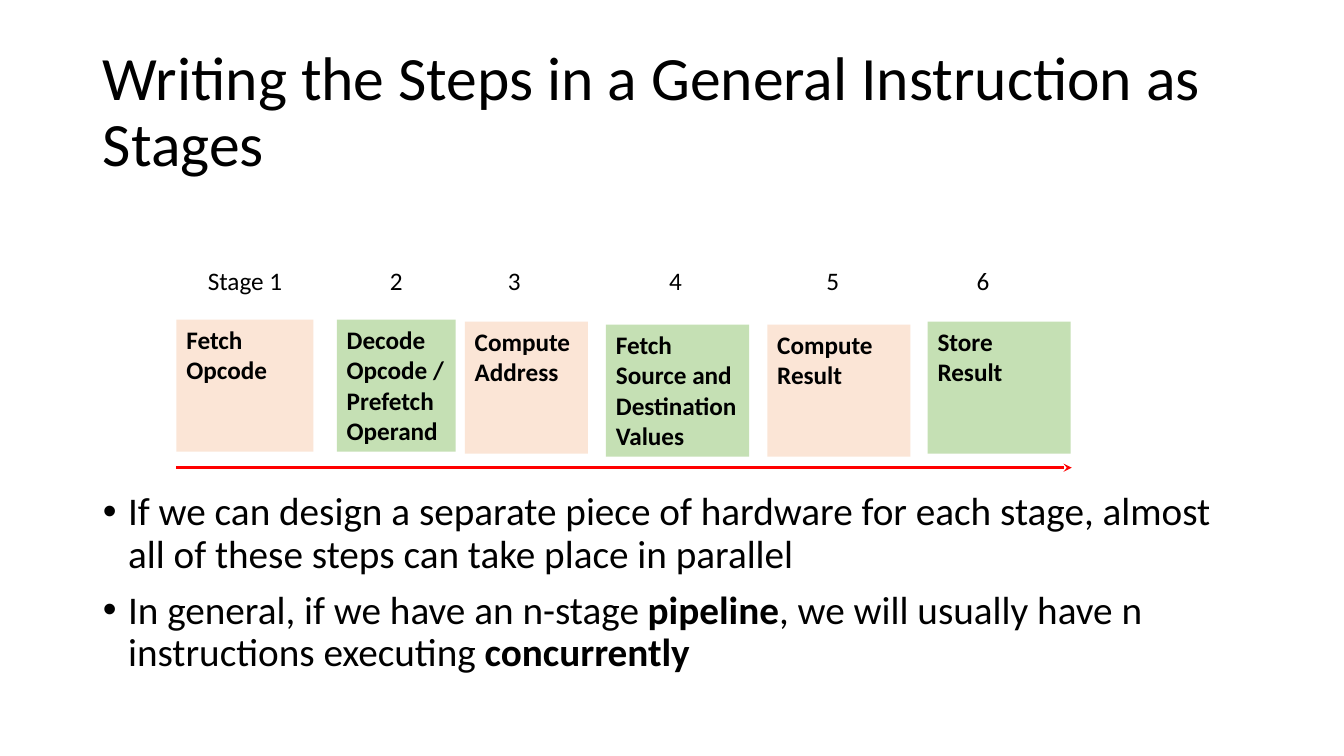
"""Build a slide showing the stages of a general instruction as a pipeline."""
from dataclasses import dataclass

from lxml.etree import SubElement
from pptx import Presentation
from pptx.dml.color import RGBColor
from pptx.enum.shapes import MSO_CONNECTOR, MSO_SHAPE
from pptx.enum.text import MSO_ANCHOR, MSO_AUTO_SIZE, PP_ALIGN
from pptx.oxml.ns import qn
from pptx.util import Inches, Pt

TITLE = "Writing the Steps in a General Instruction as Stages"
# label, label left, step, box left, box top, box width
STAGES = [
    ("Stage 1", 1.84, "Fetch Opcode", 1.75, 3.17, 1.36),
    ("2", 3.34, "Decode Opcode / Prefetch Operand", 3.34, 3.17, 1.18),
    ("3", 4.51, "Compute Address", 4.61, 3.19, 1.22),
    ("4", 6.11, "Fetch Source and Destination Values", 6.01, 3.22, 1.42),
    ("5", 7.67, "Compute Result", 7.61, 3.22, 1.42),
    ("6", 9.16, "Store Result", 9.2, 3.19, 1.42),
]
BULLETS = [
    [("If we can design a separate piece of hardware for each stage, "
      "almost all of these steps can take place in parallel", False)],
    [("In general, if we have an n-stage ", False), ("pipeline", True),
     (", we will usually have n instructions executing ", False),
     ("concurrently", True)],
]
LABEL_TOP, LABEL_WIDTH, LABEL_HEIGHT = 2.58, 1.18, 0.4
BOX_HEIGHT = 1.31
ARROW_LEFT, ARROW_RIGHT, ARROW_TOP = 1.75, 10.63, 4.64


@dataclass(frozen=True)
class Theme:
    font: str = "Calibri"
    text: RGBColor = RGBColor(0, 0, 0)
    fills: tuple = (RGBColor(0xFB, 0xE5, 0xD6), RGBColor(0xC5, 0xE0, 0xB4))
    arrow: RGBColor = RGBColor(0xFF, 0, 0)
    title_size: int = 44
    body_size: int = 28
    stage_size: int = 18


THEME = Theme()


def format_paragraph(para, size, align=PP_ALIGN.LEFT, bold=None):
    para.alignment = align
    para.font.name = THEME.font
    para.font.size = Pt(size)
    para.font.color.rgb = THEME.text
    para.font.bold = bold


def place(shape, left, top, width, height):
    shape.left, shape.top = Inches(left), Inches(top)
    shape.width, shape.height = Inches(width), Inches(height)


def prepare_frame(shape, anchor):
    frame = shape.text_frame
    frame.word_wrap = True
    frame.auto_size = MSO_AUTO_SIZE.NONE
    frame.vertical_anchor = anchor
    return frame


def fill_title(title):
    place(title, 0.92, 0.4, 11.5, 1.45)
    frame = prepare_frame(title, MSO_ANCHOR.MIDDLE)
    frame.text = TITLE
    para = frame.paragraphs[0]
    format_paragraph(para, THEME.title_size)
    para.line_spacing = 0.9


def fill_body(body):
    place(body, 0.92, 4.83, 11.5, 1.93)
    frame = prepare_frame(body, MSO_ANCHOR.TOP)
    for index, pieces in enumerate(BULLETS):
        para = frame.add_paragraph() if index else frame.paragraphs[0]
        format_paragraph(para, THEME.body_size)
        para.line_spacing = 0.9
        para.space_before = Pt(10)
        properties = para._p.get_or_add_pPr()
        properties.set("marL", str(Inches(0.25)))
        properties.set("indent", str(Inches(-0.25)))
        for text, bold in pieces:
            span = para.add_run()
            span.text = text
            span.font.bold = bold


def add_label(page, text, left):
    label = page.shapes.add_textbox(
        Inches(left), Inches(LABEL_TOP), Inches(LABEL_WIDTH), Inches(LABEL_HEIGHT))
    frame = prepare_frame(label, MSO_ANCHOR.TOP)
    frame.text = text
    format_paragraph(frame.paragraphs[0], THEME.stage_size, PP_ALIGN.CENTER)


def add_box(page, text, left, top, width, fill):
    box = page.shapes.add_shape(
        MSO_SHAPE.RECTANGLE, Inches(left), Inches(top), Inches(width), Inches(BOX_HEIGHT))
    box.shadow.inherit = False
    box.fill.solid()
    box.fill.fore_color.rgb = fill
    box.line.fill.background()
    frame = prepare_frame(box, MSO_ANCHOR.TOP)
    frame.text = text
    format_paragraph(frame.paragraphs[0], THEME.stage_size, bold=True)


def add_arrow(page):
    arrow = page.shapes.add_connector(
        MSO_CONNECTOR.STRAIGHT, Inches(ARROW_LEFT), Inches(ARROW_TOP),
        Inches(ARROW_RIGHT), Inches(ARROW_TOP))
    arrow.line.color.rgb = THEME.arrow
    arrow.line.width = Pt(1.75)
    SubElement(arrow.line._get_or_add_ln(), qn("a:tailEnd"), type="stealth")
    SubElement(arrow._element.spPr, qn("a:effectLst"))


def main():
    deck = Presentation()
    deck.slide_width, deck.slide_height = Inches(13.33), Inches(7.5)
    page = deck.slides.add_slide(deck.slide_layouts[1])
    fill_title(page.shapes.title)
    fill_body(page.placeholders[1])
    for index, (label, label_left, step, left, top, width) in enumerate(STAGES):
        add_box(page, step, left, top, width, THEME.fills[index % 2])
        add_label(page, label, label_left)
    add_arrow(page)
    deck.save("out.pptx")


if __name__ == "__main__":
    main()
